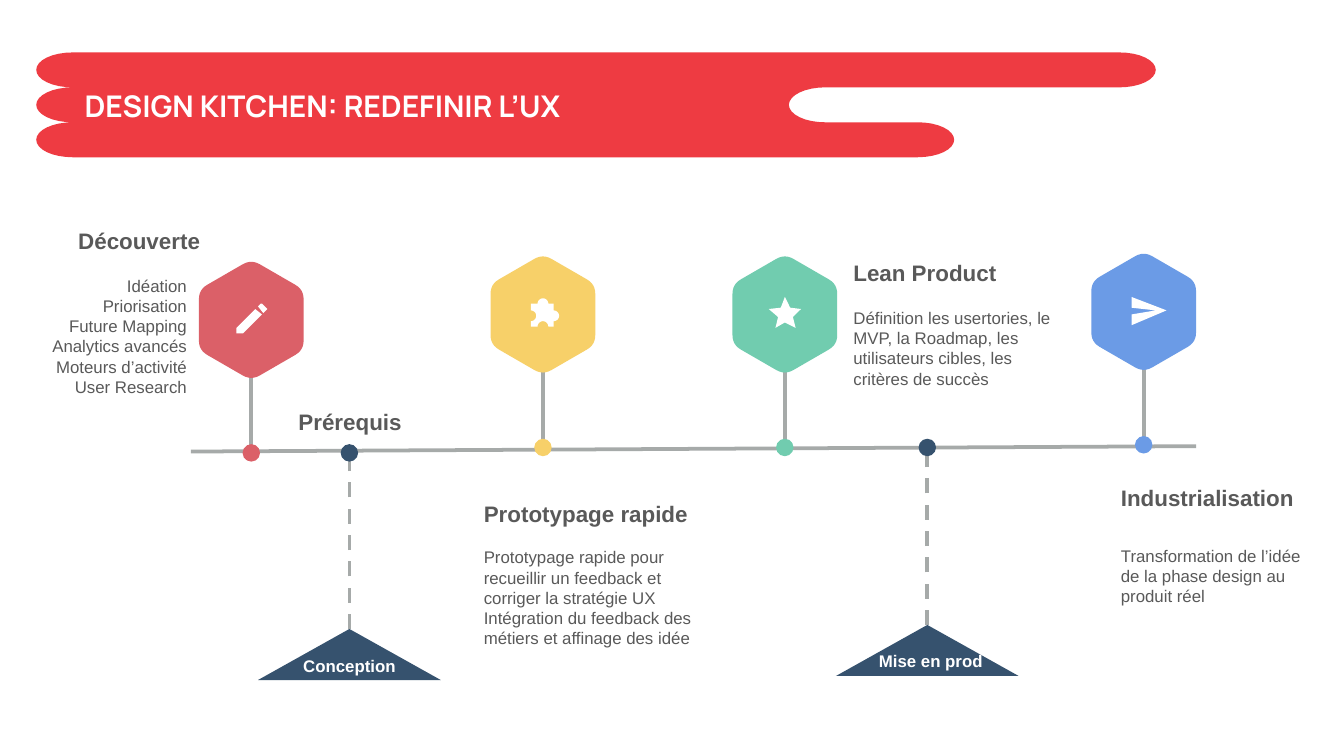
from dataclasses import dataclass
from math import cos, pi, radians, sin

from lxml import etree
from pptx import Presentation
from pptx import util as u
from pptx.dml.color import RGBColor
from pptx.enum import dml, shapes, text
from pptx.oxml import ns

Point = tuple[float, float]
Path = list[Point]
RED, NAVY, GREY, INK, WHITE = "EE3B42", "36526E", "A6AAA9", "595959", "FFFFFF"
DOT, DROP = 0.13, 0.99
LEFT, MID, RIGHT = text.PP_ALIGN.LEFT, text.PP_ALIGN.CENTER, text.PP_ALIGN.RIGHT
HEAD = {"name": "Arial", "size": u.Pt(12), "bold": True}
BODY = {"name": "Arial", "size": u.Pt(9), "bold": False}
TAG = {**BODY, "bold": True}
TITLE = {"name": "Manrope", "size": u.Pt(16), "bold": True}
INSET = (0.03, 0.03, 0.03, 0.03)


@dataclass
class Step:
    x: float
    y: float
    color: str
    icon: list[Path]


@dataclass
class Gate:
    x: float
    dot: float
    top: float


@dataclass
class Label:
    box: tuple[float, float, float, float]
    lines: list[str]
    font: dict
    color: str = INK
    align: text.PP_ALIGN = LEFT


# Slide in 16:9
prs = Presentation()
prs.slide_width = u.Inches(10)
prs.slide_height = prs.slide_width * 9 // 16
slide = prs.slides.add_slide(prs.slide_layouts[6])
art = slide.shapes


def rgb(code: str) -> RGBColor:
    return RGBColor.from_string(code)


def paint(shape, color: str) -> None:
    shape.shadow.inherit = False
    shape.fill.solid()
    shape.fill.fore_color.rgb = rgb(color)
    shape.line.fill.background()


def arc(x: float, y: float, rx: float, ry: float, start: int, end: int) -> Path:
    turns = [radians(start + (end - start) * i / 16) for i in range(17)]
    return [(x + rx * cos(t), y + ry * sin(t)) for t in turns]


def blob(paths: list[Path], color: str) -> None:
    emu = [[(u.Inches(x), u.Inches(y)) for x, y in path] for path in paths]
    form = art.build_freeform(*emu[0][0])
    for i, path in enumerate(emu):
        if i:
            form.move_to(*path[0])
        form.add_line_segments(path[1:], close=True)
    paint(form.convert_to_shape(), color)


def preset(kind, x: float, y: float, w: float, h: float, color: str) -> None:
    paint(art.add_shape(kind, *map(u.Inches, (x, y, w, h))), color)


def dot(x: float, y: float, color: str) -> None:
    preset(shapes.MSO_SHAPE.OVAL, x - DOT / 2, y - DOT / 2, DOT, DOT, color)


def rule(x1: float, y1: float, x2: float, y2: float, dash: bool = False) -> None:
    ends = map(u.Inches, (x1, y1, x2, y2))
    wire = art.add_connector(shapes.MSO_CONNECTOR.STRAIGHT, *ends)
    wire.line.color.rgb = rgb(GREY)
    wire.line.width = u.Pt(2)
    if dash:
        wire.line.dash_style = dml.MSO_LINE.DASH
    etree.SubElement(wire._element.spPr, ns.qn("a:effectLst"))


def hexa(x: float, y: float, size: float = 0.45, cut: float = 0.16) -> Path:
    """Hexagon standing on a corner, each corner rounded by a quadratic curve."""
    tips = [(x + size * sin(i * pi / 3), y - size * cos(i * pi / 3)) for i in range(6)]
    path = []
    for i, tip in enumerate(tips):
        near, far = tips[i - 1], tips[(i + 1) % 6]
        for t in (k / 6 for k in range(7)):
            a, b = cut * (1 - t) ** 2, cut * t ** 2
            path.append(tuple(c + a * (n - c) + b * (f - c)
                              for c, n, f in zip(tip, near, far)))
    return path


def write(label: Label, inset=INSET, anchor=text.MSO_ANCHOR.TOP, space=None) -> None:
    frame = art.add_textbox(*map(u.Inches, label.box)).text_frame
    sides = ("margin_left", "margin_top", "margin_right", "margin_bottom")
    form = dict(zip(sides, map(u.Inches, inset)))
    form |= {"word_wrap": True, "vertical_anchor": anchor}
    for key, value in form.items():
        setattr(frame, key, value)
    for i, line in enumerate(label.lines):
        para = frame.add_paragraph() if i else frame.paragraphs[0]
        para.alignment = label.align
        if space:
            para.line_spacing = space
        run = para.add_run()
        run.text = line
        for key, value in label.font.items():
            setattr(run.font, key, value)
        run.font.color.rgb = rgb(label.color)


# Banner: round caps (x, row middle, side, way), clockwise from the top right
caps = [(8.33, 0.52, 1, 1), (6.14, 0.78, -1, 1), (6.83, 1.04, 1, 1),
        (0.54, 1.04, -1, -1), (0.54, 0.78, -1, -1), (0.54, 0.52, -1, -1)]
blob([[p for x, y, side, way in caps
       for p in arc(x, y, 0.27 * side, 0.13, -90 * way, 90 * way)]], RED)
write(Label((0.63, 0.63, 5.88, 0.61), ["DESIGN KITCHEN: REDEFINIR L’UX"], TITLE, WHITE),
      inset=(0, 0.05, 0.1, 0.05), space=0.9)

# Icons
pencil = [[(1.76, 2.44), (1.76, 2.48), (1.81, 2.48), (1.95, 2.34), (1.9, 2.3)],
          [(1.98, 2.31), (1.99, 2.3), (1.98, 2.29), (1.95, 2.26), (1.94, 2.26),
           (1.92, 2.28), (1.96, 2.33)]]
puzzle = [[(3.95, 2.26), *arc(4.04, 2.26, 0.04, 0.04, 180, 360),
           (4.12, 2.26), *arc(4.12, 2.35, 0.04, 0.04, -90, 90),
           (4.12, 2.43), *arc(4.04, 2.43, 0.04, 0.04, 0, -180),
           (3.95, 2.43), *arc(3.95, 2.35, 0.04, 0.04, 90, -90)]]
star = [[(5.84, 2.4), (5.92, 2.44), (5.9, 2.36), (5.96, 2.3), (5.88, 2.29),
         (5.84, 2.21), (5.81, 2.29), (5.72, 2.3), (5.79, 2.36), (5.77, 2.44)]]
plane = [[(8.42, 2.42), (8.68, 2.31), (8.42, 2.21), (8.42, 2.29), (8.6, 2.31),
          (8.42, 2.34)]]

# Timeline
steps = [Step(1.87, 2.38, "DB6068", pencil), Step(4.04, 2.34, "F7D069", puzzle),
         Step(5.84, 2.34, "71CCAF", star), Step(8.51, 2.32, "6B9BE6", plane)]
gates = [Gate(2.6, 3.37, 4.68), Gate(6.9, 3.33, 4.65)]
rule(1.42, 3.36, 8.9, 3.32)
for step in steps:
    rule(step.x, step.y + 0.38, step.x, step.y + DROP)
    blob([hexa(step.x, step.y)], step.color)
    dot(step.x, step.y + DROP, step.color)
    blob(step.icon, WHITE)
for gate in gates:
    rule(gate.x, gate.top, gate.x, gate.dot, dash=True)
    dot(gate.x, gate.dot, NAVY)
    preset(shapes.MSO_SHAPE.ISOSCELES_TRIANGLE, gate.x - 0.68, gate.top, 1.36, 0.38, NAVY)

# Headings and tags
heads = [
    Label((0.16, 1.66, 1.36, 0.26), ["Découverte"], HEAD, align=RIGHT),
    Label((3.57, 3.69, 1.75, 0.26), ["Prototypage rapide"], HEAD),
    Label((6.32, 1.9, 1.63, 0.26), ["Lean Product"], HEAD),
    Label((8.31, 3.57, 1.61, 0.26), ["Industrialisation"], HEAD),
    Label((1.46, 3.01, 2.29, 0.26), ["Prérequis"], HEAD, align=MID),
    Label((2.2, 4.85, 0.8, 0.21), ["Conception"], TAG, WHITE, MID),
    Label((6.5, 4.81, 0.85, 0.21), ["Mise en prod"], TAG, WHITE, MID),
]
for head in heads:
    write(head, anchor=text.MSO_ANCHOR.MIDDLE)

# Descriptions
notes = [
    Label((0.16, 2.02, 1.26, 0.96),
          ["Idéation", "Priorisation", "Future Mapping", "Analytics avancés",
           "Moteurs d’activité", "User Research"], BODY, align=RIGHT),
    Label((3.57, 4.04, 1.63, 0.81),
          ["Prototypage rapide pour recueillir un feedback et corriger la stratégie UX",
           "Intégration du feedback des métiers et affinage des idée"], BODY),
    Label((6.32, 2.26, 1.63, 0.66),
          ["Définition les usertories, le MVP, la Roadmap, les utilisateurs cibles, "
           "les critères de succès"], BODY),
    Label((8.31, 4.03, 1.49, 0.51),
          ["Transformation de l’idée de la phase design au produit réel"], BODY),
]
for note in notes:
    write(note)

prs.save("out.pptx")
